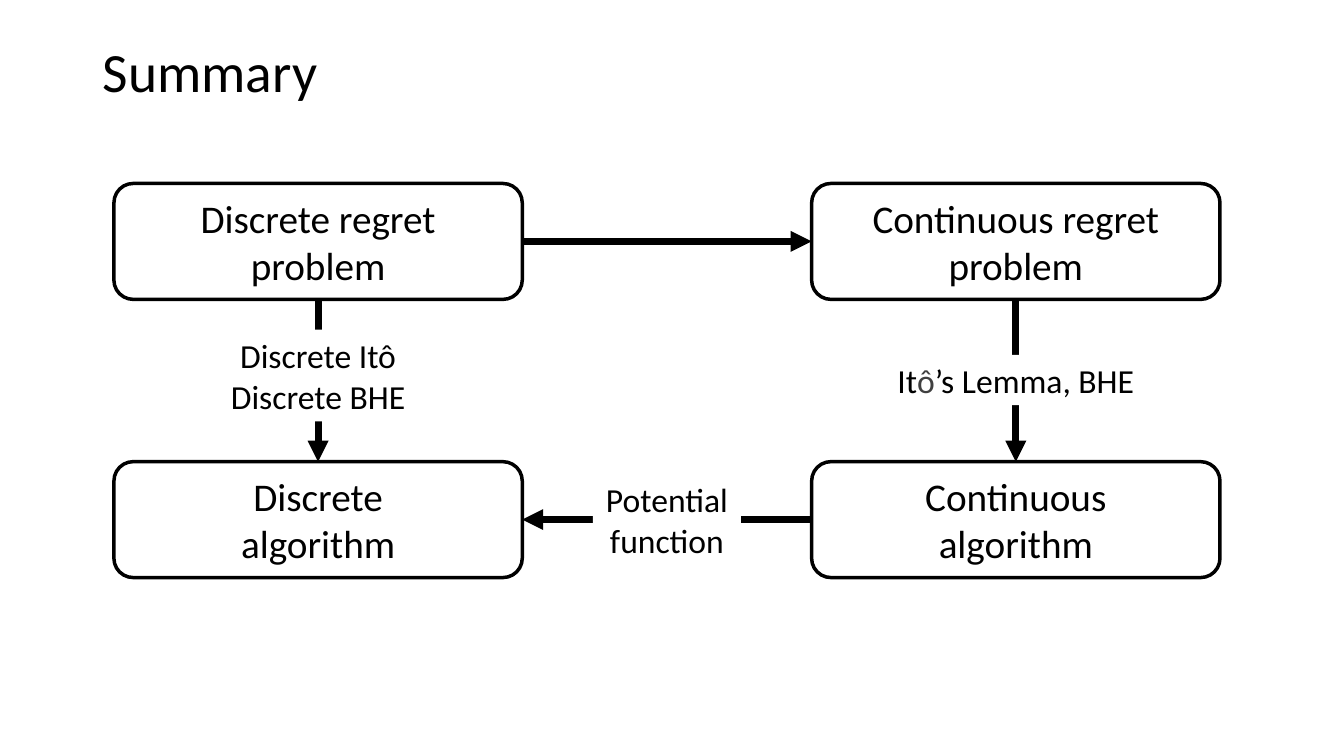
import pptx
import pptx.util
import pptx.dml.color
import pptx.enum.shapes
import pptx.enum.text
import lxml.etree
from dataclasses import dataclass

# Content: each paragraph is a tuple of runs
TITLE = "Summary"
BOXES = {  # (column, row): paragraphs
    (1, 0): [("Continuous regret problem",)],
    (0, 0): [("Discrete regret",), ("problem",)],
    (1, 1): [("Continuous",), ("algorithm",)],
    (0, 1): [("Discrete",), ("algorithm",)],
}
TOP, LEFT, BOTTOM, RIGHT = range(4)
ARROWS = [  # from box, side, to box, side
    ((0, 0), RIGHT, (1, 0), LEFT),
    ((1, 1), LEFT, (0, 1), RIGHT),
    ((1, 0), BOTTOM, (1, 1), TOP),
    ((0, 0), BOTTOM, (0, 1), TOP),
]
LABELS = [  # arrow, width, height, shift down, paragraphs
    (2, 257, 50, 0, [("It", "ô", "’s Lemma, BHE")]),
    (3, 195, 91, -5, [("Discrete Itô",), ("Discrete BHE",)]),
    (1, 147, 91, 0, [("Potential",), ("function",)]),
]


@dataclass
class Theme:
    font: str = "Calibri"
    ink: str = "000000"
    soft: str = "404040"
    paper: str = "FFFFFF"
    title: float = 39.6
    box: int = 28
    label: int = 24
    edge: float = 2.5
    arrow: int = 5


# Layout in px, 100 to the inch
PX = 9144
COLS, ROWS = (113, 805), (182, 458)
WIDTH, HEIGHT = 405, 115
theme = Theme()
KIND = pptx.enum.shapes.MSO_SHAPE
ALIGN = pptx.enum.text.PP_ALIGN


def color(code):
    return pptx.dml.color.RGBColor.from_string(code)


def style(run, size, code=theme.ink):
    run.font.name = theme.font
    run.font.size = pptx.util.Pt(size)
    run.font.color.rgb = color(code)


def block(slide, kind, area, paras, size):
    """Add a white shape with centred text."""
    shape = slide.shapes.add_shape(kind, *(v * PX for v in area))
    shape.shadow.inherit = False
    shape.fill.solid()
    shape.fill.fore_color.rgb = color(theme.paper)
    shape.line.fill.background()
    frame = shape.text_frame
    frame.text = "\n".join("" for _ in paras)
    for para, runs in zip(frame.paragraphs, paras):
        para.alignment = ALIGN.CENTER
        for text in runs:
            run = para.add_run()
            run.text = text
            style(run, size, theme.soft if text == "ô" else theme.ink)
    frame.auto_size = pptx.enum.text.MSO_AUTO_SIZE.SHAPE_TO_FIT_TEXT
    return shape


def stroke(line, width):
    line.color.rgb = color(theme.ink)
    line.width = pptx.util.Pt(width)


def main():
    deck = pptx.Presentation()
    deck.slide_width, deck.slide_height = 1333 * PX, 750 * PX
    slide = deck.slides.add_slide(deck.slide_layouts[5])

    # Title
    title = slide.shapes.title
    title.left, title.top, title.width, title.height = (
        v * PX for v in (92, 40, 1150, 68))
    title.text_frame.text = TITLE
    title.text_frame.vertical_anchor = pptx.enum.text.MSO_ANCHOR.MIDDLE
    head = title.text_frame.paragraphs[0]
    head.alignment = ALIGN.LEFT
    head.line_spacing = 0.9
    style(head.runs[0], theme.title)

    # Boxes
    boxes = {}
    for (col, row), paras in BOXES.items():
        area = (COLS[col], ROWS[row], WIDTH, HEIGHT)
        box = block(slide, KIND.ROUNDED_RECTANGLE, area, paras, theme.box)
        box.text_frame.word_wrap = True
        stroke(box.line, theme.edge)
        boxes[col, row] = box

    # Arrows
    arrows = []
    for start, out, end, into in ARROWS:
        arrow = slide.shapes.add_connector(
            pptx.enum.shapes.MSO_CONNECTOR.STRAIGHT, 0, 0, 0, 0)
        arrow.begin_connect(boxes[start], out)
        arrow.end_connect(boxes[end], into)
        stroke(arrow.line, theme.arrow)
        space = pptx.oxml.ns.qn
        tip = lxml.etree.SubElement(arrow.line._get_or_add_ln(), space("a:tailEnd"))
        tip.set("type", "triangle")
        lxml.etree.SubElement(arrow._element.spPr, space("a:effectLst"))
        arrows.append(arrow)

    # Labels, centred on their arrows
    for index, wide, high, shift, paras in LABELS:
        arrow = arrows[index]
        mid = (arrow.begin_x + arrow.end_x) / 2 / PX
        level = (arrow.begin_y + arrow.end_y) / 2 / PX + shift
        area = (round(mid - wide / 2), round(level - high / 2), wide, high)
        label = block(slide, KIND.RECTANGLE, area, paras, theme.label)
        label.text_frame.word_wrap = False

    deck.save("out.pptx")


if __name__ == "__main__":
    main()
